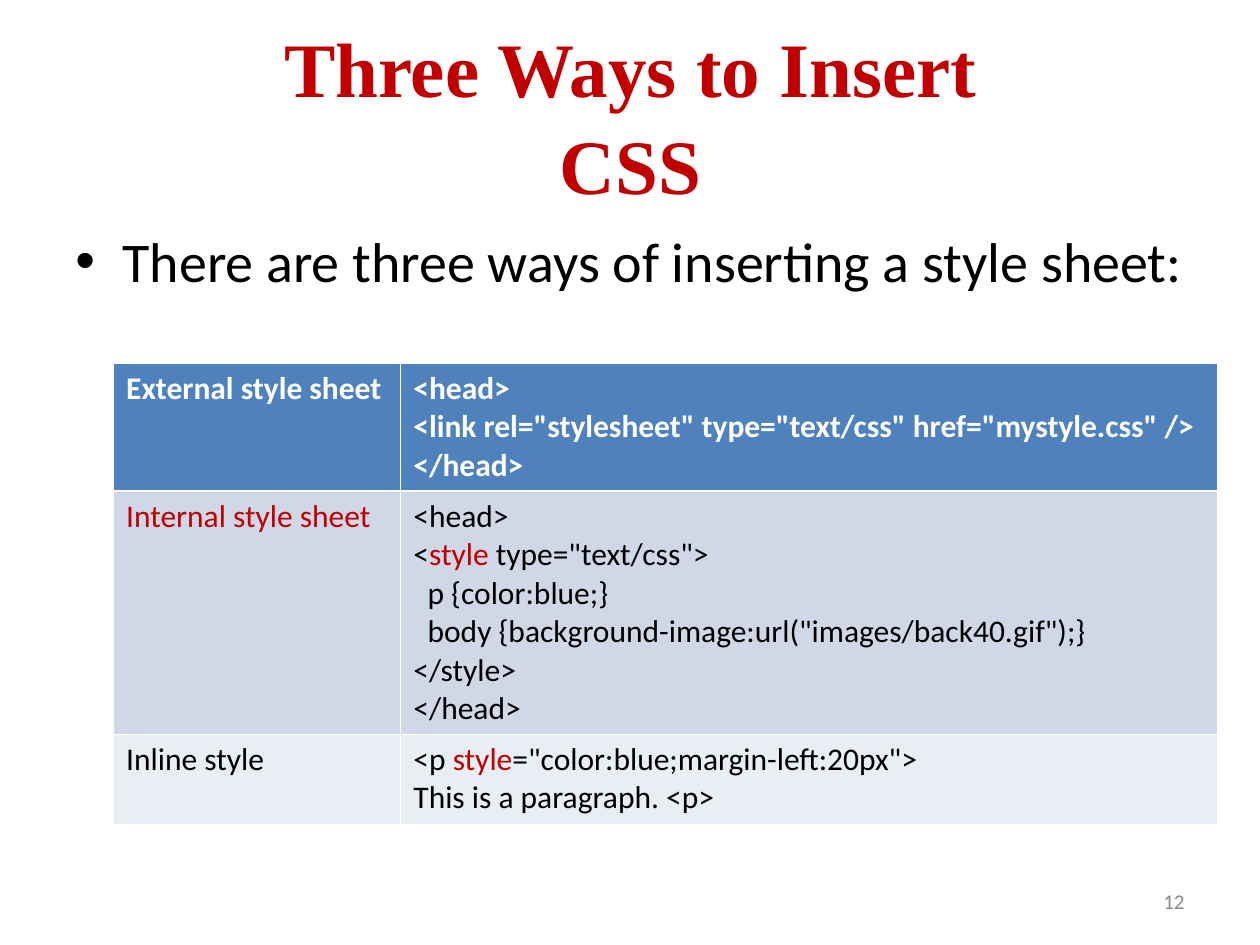
import lxml.etree
import pptx
import pptx.dml.color
import pptx.enum.text
import pptx.oxml.ns
import pptx.util

Cm = pptx.util.Cm
Pt = pptx.util.Pt
qn = pptx.oxml.ns.qn
ALIGN = pptx.enum.text.PP_ALIGN
ANCHOR = pptx.enum.text.MSO_ANCHOR

COLOURS = {
    "red": "C00000",
    "black": "000000",
    "white": "FFFFFF",
    "grey": "898989",
    "header": "4F81BD",
    "band": "D0D8E8",
    "light": "E9EDF4",
}

TITLE_FONT = {"name": "Times New Roman", "size": Pt(44), "bold": True}
BODY_FONT = {"name": "Calibri", "size": Pt(32), "bold": False}
TABLE_FONT = {"name": "Calibri", "size": Pt(18), "bold": False}
HEADER_FONT = {**TABLE_FONT, "bold": True}
NUMBER_FONT = {"name": "Calibri", "size": Pt(12), "bold": False}

COLUMN_WIDTHS = [5.79, 16.46]
THIN, THICK = 0.45, 1.47

ROWS = [
    {
        "height": 2.58, "fill": "header", "font": HEADER_FONT, "colour": "white",
        "top": THIN, "bottom": THICK,
        "cells": [
            [["External style sheet"]],
            [
                ["<head>"],
                ['<link rel="stylesheet" type="text/css" href="mystyle.css" />'],
                ["</head>"],
            ],
        ],
    },
    {
        "height": 4.9, "fill": "band", "font": TABLE_FONT, "colour": "black",
        "top": THICK, "bottom": THIN,
        "cells": [
            [[("Internal style sheet", "red")]],
            [
                ["<head>"],
                ["<", ("style", "red"), ' type="text/css">'],
                ["  p {color:blue;}"],
                ['  body {background-image:url("images/back40.gif");}'],
                ["</style>"],
                ["</head>"],
            ],
        ],
    },
    {
        "height": 1.81, "fill": "light", "font": TABLE_FONT, "colour": "black",
        "top": THIN, "bottom": THIN,
        "cells": [
            [["Inline style"]],
            [
                ["<p ", ("style", "red"), '="color:blue;margin-left:20px">'],
                ["This is a paragraph. <p>"],
            ],
        ],
    },
]


def rgb(colour):
    return pptx.dml.color.RGBColor.from_string(COLOURS[colour])


def set_values(target, values):
    for name, value in values.items():
        setattr(target, name, value)


def write_lines(frame, lines, font, colour, align=ALIGN.LEFT):
    for index, line in enumerate(lines):
        para = frame.paragraphs[0] if index == 0 else frame.add_paragraph()
        para.alignment = align
        for part in line:
            text, shade = part if isinstance(part, tuple) else (part, colour)
            span = para.add_run()
            span.text = text
            set_values(span.font, font)
            span.font.color.rgb = rgb(shade)


def add_title(page, text):
    title = page.shapes.title
    set_values(title, {"left": Cm(4.34), "top": Cm(1.4), "width": Cm(16.74), "height": Cm(1.75)})
    frame = title.text_frame
    set_values(frame, {
        "word_wrap": True, "auto_size": pptx.enum.text.MSO_AUTO_SIZE.NONE,
        "vertical_anchor": ANCHOR.MIDDLE,
        "margin_left": 0, "margin_right": 0, "margin_top": 0, "margin_bottom": 0,
    })
    write_lines(frame, [[text]], TITLE_FONT, "red", ALIGN.CENTER)
    frame.paragraphs[0].line_spacing = 1.05


def add_text(page, place, text, font, colour, align=ALIGN.LEFT, anchor=ANCHOR.TOP):
    box = page.shapes.add_textbox(*map(Cm, place))
    set_values(box.text_frame, {"word_wrap": True, "vertical_anchor": anchor})
    write_lines(box.text_frame, [[text]], font, colour, align)
    return box


def add_bullet(para, indent):
    properties = para._p.get_or_add_pPr()
    properties.set("marL", str(Cm(indent)))
    properties.set("indent", str(-Cm(indent)))
    font = lxml.etree.SubElement(properties, qn("a:buFont"))
    font.set("typeface", "Arial")
    lxml.etree.SubElement(properties, qn("a:buChar")).set("char", "•")


def add_borders(cell, widths):
    properties = cell._tc.get_or_add_tcPr()
    for side, width in widths.items():
        line = lxml.etree.SubElement(properties, qn(f"a:ln{side}"), w=str(Pt(width)))
        fill = lxml.etree.SubElement(line, qn("a:solidFill"))
        lxml.etree.SubElement(fill, qn("a:srgbClr"), val=COLOURS["white"])


def add_style_table(page):
    heights = [row["height"] for row in ROWS]
    place = (2.29, 7.32, sum(COLUMN_WIDTHS), sum(heights))
    table = page.shapes.add_table(len(ROWS), len(COLUMN_WIDTHS), *map(Cm, place)).table
    for column, width in zip(table.columns, COLUMN_WIDTHS):
        column.width = Cm(width)
    for table_row, row in zip(table.rows, ROWS):
        table_row.height = Cm(row["height"])
        for cell, lines in zip(table_row.cells, row["cells"]):
            add_borders(cell, {"L": THIN, "R": THIN, "T": row["top"], "B": row["bottom"]})
            cell.fill.solid()
            cell.fill.fore_color.rgb = rgb(row["fill"])
            write_lines(cell.text_frame, lines, row["font"], row["colour"])


def main():
    deck = pptx.Presentation()
    set_values(deck, {"slide_width": Cm(25.4), "slide_height": Cm(19.05)})
    page = deck.slides.add_slide(deck.slide_layouts[5])
    add_title(page, "Three Ways to Insert CSS")
    body = add_text(page, (1.27, 4.45, 22.86, 12.57),
                    "There are three ways of inserting a style sheet:", BODY_FONT, "black")
    add_bullet(body.text_frame.paragraphs[0], 0.95)
    add_style_table(page)
    add_text(page, (18.21, 17.65, 5.92, 1.02), "12", NUMBER_FONT, "grey",
             ALIGN.RIGHT, ANCHOR.MIDDLE)
    deck.save("out.pptx")


if __name__ == "__main__":
    main()
